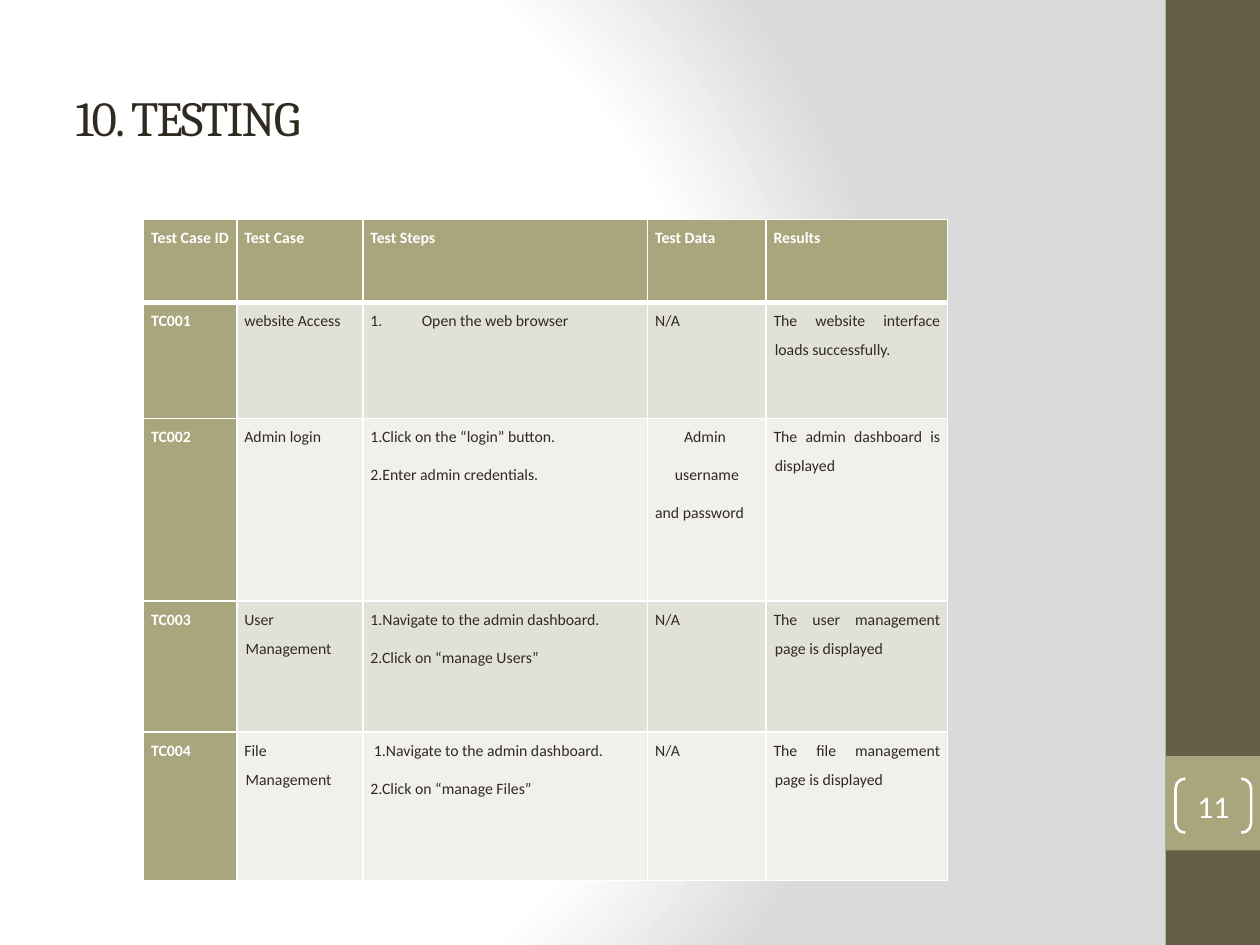
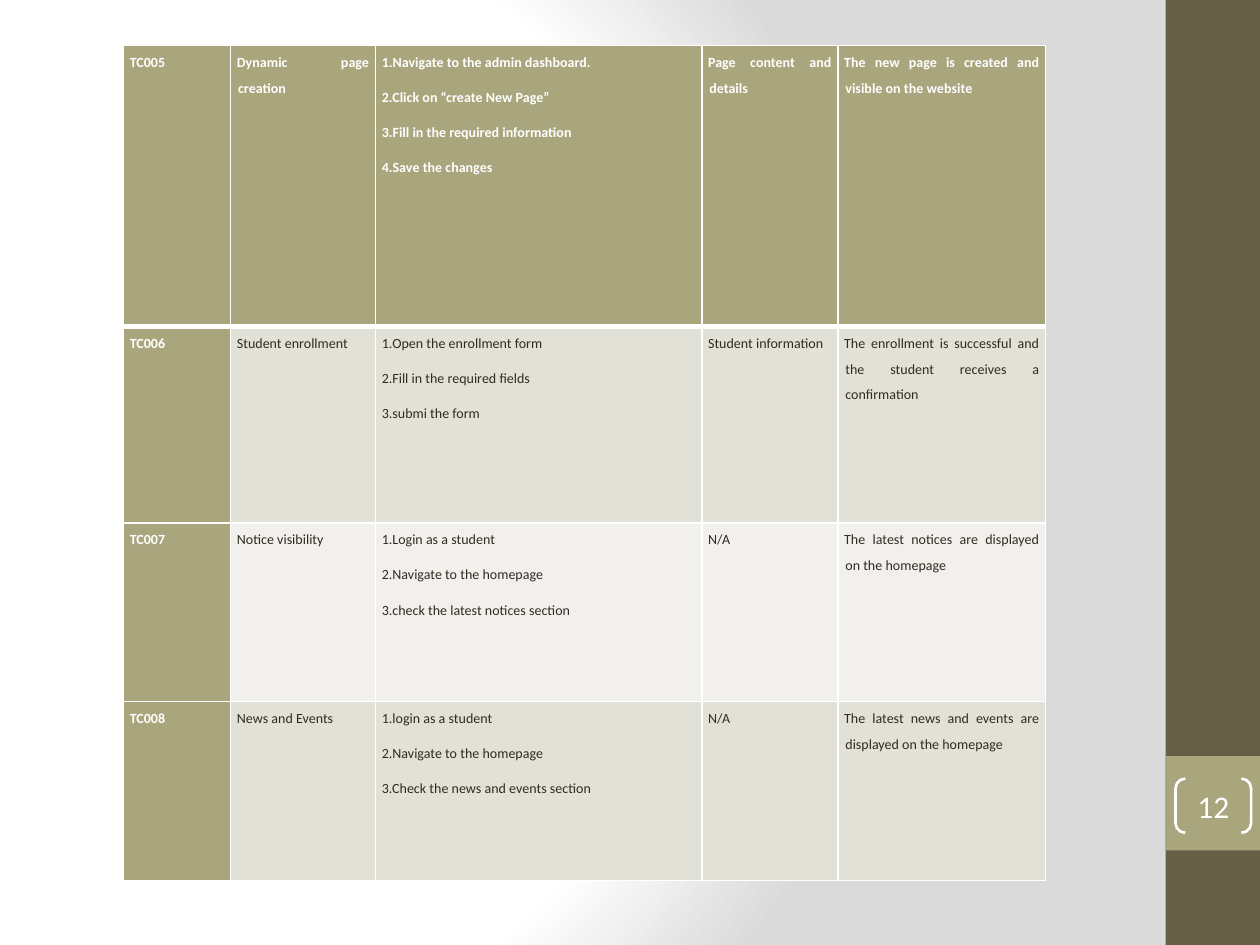
import pptx
import pptx.util
from pptx.dml.color import RGBColor
from pptx.enum.shapes import MSO_SHAPE
from pptx.enum.text import MSO_ANCHOR, PP_ALIGN
from pptx.oxml import parse_xml
from pptx.oxml.ns import nsdecls

Inches = pptx.util.Inches
Pt = pptx.util.Pt

WHITE = RGBColor(0xFF, 0xFF, 0xFF)
INK = RGBColor(0x2F, 0x2B, 0x20)
BROWN = RGBColor(0x67, 0x5E, 0x47)
OLIVE = RGBColor(0xA9, 0xA5, 0x7C)
BAND_DARK = RGBColor(0xE2, 0xE1, 0xD7)
BAND_LIGHT = RGBColor(0xF1, 0xF0, 0xEC)
HEADING_FONT = "Cambria"
BODY_FONT = "Calibri"
WIDTH, HEIGHT = 10, 7.5
RAIL = 0.075 * WIDTH
RAIL_LEFT = WIDTH - RAIL
BADGE_TOP = 0.8 * HEIGHT

TEST_PAGES = [
    {
        "number": 11,
        "title": "10. TESTING",
        "corner": (1.14, 1.74),
        "columns": [0.74, 1, 2.26, 0.94, 1.44],
        "rows": [0.66, 0.92, 1.45, 1.04, 1.18],
        "size": 9,
        "inset": 0.06,
        "cases": [
            ["Test Case ID", "Test Case", "Test Steps", "Test Data", "Results"],
            ["TC001", "website Access", " Open the web browser", "N/A",
             "The website interface loads successfully."],
            ["TC002", "Admin login",
             "1.Click on the “login” button.\n2.Enter admin credentials.",
             "Admin \nusername\nand password", "The admin dashboard is displayed"],
            ["TC003", "User Management ",
             "1.Navigate to the admin dashboard.\n2.Click on “manage Users”",
             "N/A", "The user management page is displayed"],
            ["TC004", "File Management ",
             " 1.Navigate to the admin dashboard.\n2.Click on “manage Files”",
             "N/A", "The file management page is displayed"],
        ],
    },
    {
        "number": 12,
        "title": None,
        "corner": (0.98, 0.36),
        "columns": [0.85, 1.15, 2.59, 1.08, 1.65],
        "rows": [2.23, 1.56, 1.42, 1.42],
        "size": 8,
        "inset": 0.05,
        "cases": [
            ["TC005", "Dynamic page creation ",
             "1.Navigate to the admin dashboard.\n2.Click on “create New Page”\n"
             "3.Fill in the required information\n4.Save the changes",
             "Page content and details ",
             "The new page is created and visible on the website"],
            ["TC006", "Student enrollment ",
             "1.Open the enrollment form\n2.Fill in the required fields\n3.submi the form",
             "Student information ",
             "The enrollment is successful and the student receives a confirmation"],
            ["TC007", "Notice visibility",
             "1.Login as a student\n2.Navigate to the homepage\n"
             "3.check the latest notices section",
             "N/A", "The latest notices are displayed on the homepage"],
            ["TC008", "News and Events ",
             "1.login as a student\n2.Navigate to the homepage\n"
             "3.Check the news and events section",
             "N/A", "The latest news and events are displayed on the homepage"],
        ],
    },
]


def style_run(run, font, size, color, bold=False):
    run.font.name = font
    run.font.size = Pt(size)
    run.font.color.rgb = color
    run.font.bold = bold


def set_borders(cell, top, bottom):
    for side, points in (("L", 1), ("R", 1), ("T", top), ("B", bottom)):
        cell._tc.get_or_add_tcPr().append(parse_xml(
            f'<a:ln{side} {nsdecls("a")} w="{Pt(points)}"><a:solidFill>'
            f'<a:srgbClr val="{WHITE}"/></a:solidFill></a:ln{side}>'))


deck = pptx.Presentation()
deck.slide_width = Inches(WIDTH)
deck.slide_height = Inches(HEIGHT)

master = deck.slide_master
master.background.fill.solid()
backdrop = master.element.cSld.bg.bgPr
backdrop.replace(backdrop[0], parse_xml(
    f'<a:gradFill {nsdecls("a")} rotWithShape="1"><a:gsLst>'
    '<a:gs pos="0"><a:srgbClr val="FFFFFF"/></a:gs>'
    '<a:gs pos="75000"><a:srgbClr val="FFFFFF"/></a:gs>'
    '<a:gs pos="100000"><a:srgbClr val="DADADA"/></a:gs></a:gsLst>'
    '<a:path path="circle"><a:fillToRect l="20000" t="50000" r="100000" b="50000"/></a:path>'
    '</a:gradFill>'))

for page in TEST_PAGES:
    slide = deck.slides.add_slide(deck.slide_layouts[5 if page["title"] else 6])

    for top, height, color in ((0, HEIGHT, BROWN), (BADGE_TOP, RAIL, OLIVE)):
        band = slide.shapes.add_shape(
            MSO_SHAPE.RECTANGLE, Inches(RAIL_LEFT), Inches(top), Inches(RAIL), Inches(height))
        band.shadow.inherit = False
        band.fill.solid()
        band.fill.fore_color.rgb = color
        band.line.fill.background()

    if page["title"]:
        heading = slide.shapes.title
        heading.left, heading.top = Inches(0.05 * WIDTH), Inches(0.04 * HEIGHT)
        heading.width, heading.height = Inches(8.33), Inches(1.25)
        heading.text_frame.text = page["title"]
        heading.text_frame.vertical_anchor = MSO_ANCHOR.MIDDLE
        paragraph = heading.text_frame.paragraphs[0]
        paragraph.alignment = PP_ALIGN.LEFT
        style_run(paragraph.runs[0], HEADING_FONT, 28, INK)
        paragraph.runs[0]._r.get_or_add_rPr().set("spc", "-100")

    left, top = page["corner"]
    columns, rows = page["columns"], page["rows"]
    test_cases = slide.shapes.add_table(
        len(rows), len(columns), Inches(left), Inches(top),
        Inches(sum(columns)), Inches(sum(rows))).table
    for column, width in zip(test_cases.columns, columns):
        column.width = Inches(width)
    for row, height in zip(test_cases.rows, rows):
        row.height = Inches(height)

    for r, case in enumerate(page["cases"]):
        for c, wording in enumerate(case):
            cell = test_cases.cell(r, c)
            emphasised = r == 0 or c == 0
            set_borders(cell, 3 if r == 1 else 1, 3 if r == 0 else 1)
            cell.fill.solid()
            cell.fill.fore_color.rgb = OLIVE if emphasised else BAND_DARK if r % 2 else BAND_LIGHT
            cell.margin_left = cell.margin_right = Inches(page["inset"])
            cell.margin_top = cell.margin_bottom = 0
            cell.text_frame.text = wording
            for paragraph in cell.text_frame.paragraphs:
                centred = paragraph.text in ("Admin ", "username")
                numbered = paragraph.text == " Open the web browser"
                paragraph.alignment = PP_ALIGN.CENTER if centred else PP_ALIGN.JUSTIFY
                paragraph.line_spacing = 1.5
                paragraph.space_after = Pt(5.3)
                hanging = Inches(0.38 if numbered else 0.01)
                properties = paragraph._p.get_or_add_pPr()
                properties.set("marL", str(hanging))
                properties.set("indent", str(-hanging))
                if numbered:
                    paragraph.alignment = PP_ALIGN.LEFT
                    properties.append(parse_xml(
                        f'<a:buAutoNum {nsdecls("a")} type="arabicPeriod"/>'))
                style_run(paragraph.runs[0], BODY_FONT, page["size"],
                          WHITE if emphasised else INK, emphasised)

    badge = slide.shapes.add_shape(
        MSO_SHAPE.DOUBLE_BRACKET, Inches(RAIL_LEFT + 0.08), Inches(BADGE_TOP + 0.18),
        Inches(0.6), Inches(0.43))
    badge.adjustments[0] = 0.18
    badge.shadow.inherit = False
    badge.fill.background()
    badge.line.color.rgb = WHITE
    badge.line.width = Pt(1.5)
    frame = badge.text_frame
    frame.margin_left = frame.margin_right = frame.margin_top = frame.margin_bottom = 0
    frame.vertical_anchor = MSO_ANCHOR.MIDDLE
    frame.text = str(page["number"])
    frame.paragraphs[0].alignment = PP_ALIGN.CENTER
    style_run(frame.paragraphs[0].runs[0], BODY_FONT, 18, WHITE)

deck.save("out.pptx")
